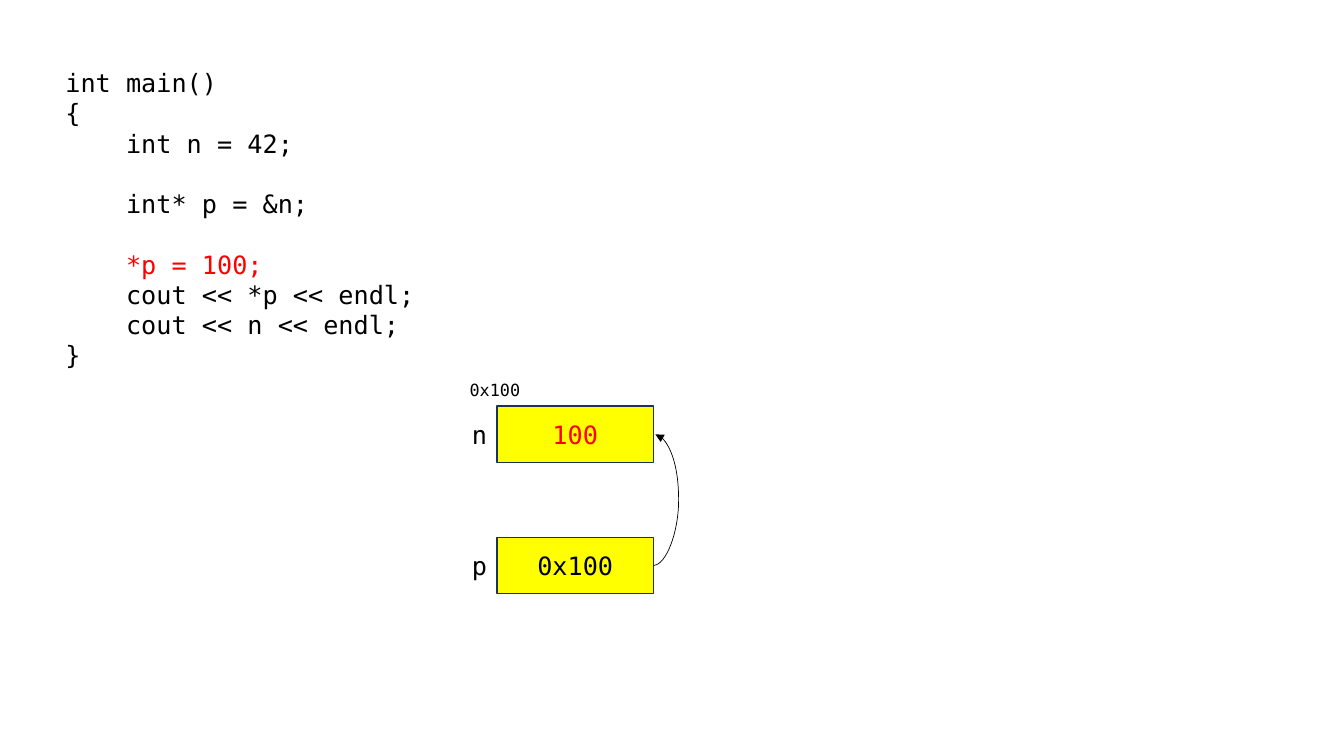
import pptx
import pptx.util
import pptx.dml.color
import pptx.enum.shapes
import pptx.enum.text
import pptx.oxml
import pptx.oxml.ns
import lxml.etree

Inches = pptx.util.Inches
Pt = pptx.util.Pt
RGBColor = pptx.dml.color.RGBColor
Align = pptx.enum.text.PP_ALIGN

BLACK = RGBColor(0x00, 0x00, 0x00)
RED = RGBColor(0xFF, 0x00, 0x00)
YELLOW = RGBColor(0xFF, 0xFF, 0x00)
NAVY = RGBColor(0x1E, 0x32, 0x56)
FONT = "DejaVu Sans Mono"

CODE = """int main()
{
    int n = 42;

    int* p = &n;

    *p = 100;
    cout << *p << endl;
    cout << n << endl;
}"""
HIGHLIGHT = "    *p = 100;"

CELL_LEFT, CELL_WIDTH, CELL_HEIGHT = 4.93, 1.55, 0.56
LABEL_WIDTH = 0.57
N_TOP, P_TOP = 4.03, 5.33


def write(shape, text, size=18, color=BLACK, align=Align.LEFT):
    shape.text_frame.text = text
    for paragraph in shape.text_frame.paragraphs:
        paragraph.alignment = align
        paragraph.font.size = Pt(size)
        for span in paragraph.runs:
            span.font.name = FONT
            span.font.size = Pt(size)
            span.font.color.rgb = color


def add_text(left, top, width, height, text, size=18, align=Align.LEFT):
    box = page.shapes.add_textbox(Inches(left), Inches(top), Inches(width), Inches(height))
    box.text_frame.word_wrap = True
    write(box, text, size, BLACK, align)
    return box


deck = pptx.Presentation()
deck.slide_width = Inches(13.33)
deck.slide_height = Inches(7.5)
page = deck.slides.add_slide(deck.slide_layouts[6])

code_box = add_text(0.55, 0.62, 5.4, 3.13, CODE)
for paragraph in code_box.text_frame.paragraphs:
    if paragraph.text == HIGHLIGHT:
        paragraph.runs[0].font.color.rgb = RED

for name, value, top, color in [("n", "100", N_TOP, RED), ("p", "0x100", P_TOP, BLACK)]:
    cell = page.shapes.add_shape(
        pptx.enum.shapes.MSO_SHAPE.RECTANGLE,
        Inches(CELL_LEFT), Inches(top), Inches(CELL_WIDTH), Inches(CELL_HEIGHT))
    cell.shadow.inherit = False
    cell.fill.solid()
    cell.fill.fore_color.rgb = YELLOW
    cell.line.color.rgb = NAVY
    cell.line.width = Pt(1)
    cell.text_frame.vertical_anchor = pptx.enum.text.MSO_ANCHOR.MIDDLE
    write(cell, value, color=color, align=Align.CENTER)
    add_text(CELL_LEFT - LABEL_WIDTH, top + 0.08, LABEL_WIDTH, 0.4, name, align=Align.RIGHT)

add_text(4.56, 3.72, 0.74, 0.3, "0x100", size=12)

cell_right = CELL_LEFT + CELL_WIDTH
arrow_gap, bulge = 0.02, 0.25
pointer = page.shapes.add_connector(
    pptx.enum.shapes.MSO_CONNECTOR.CURVE,
    Inches(cell_right), Inches(P_TOP + CELL_HEIGHT / 2),
    Inches(cell_right + arrow_gap), Inches(N_TOP + CELL_HEIGHT / 2))
pointer.line.color.rgb = BLACK
pointer.line.width = Pt(0.5)
qn = pptx.oxml.ns.qn
properties = pointer.element.spPr
guides = properties.find(qn("a:prstGeom")).get_or_add_avLst()
lxml.etree.SubElement(
    guides, qn("a:gd"), name="adj1", fmla=f"val {round(bulge / arrow_gap * 100000)}")
lxml.etree.SubElement(properties.find(qn("a:ln")), qn("a:tailEnd"), type="triangle")
lxml.etree.SubElement(properties, qn("a:effectLst"))

deck.save("out.pptx")
